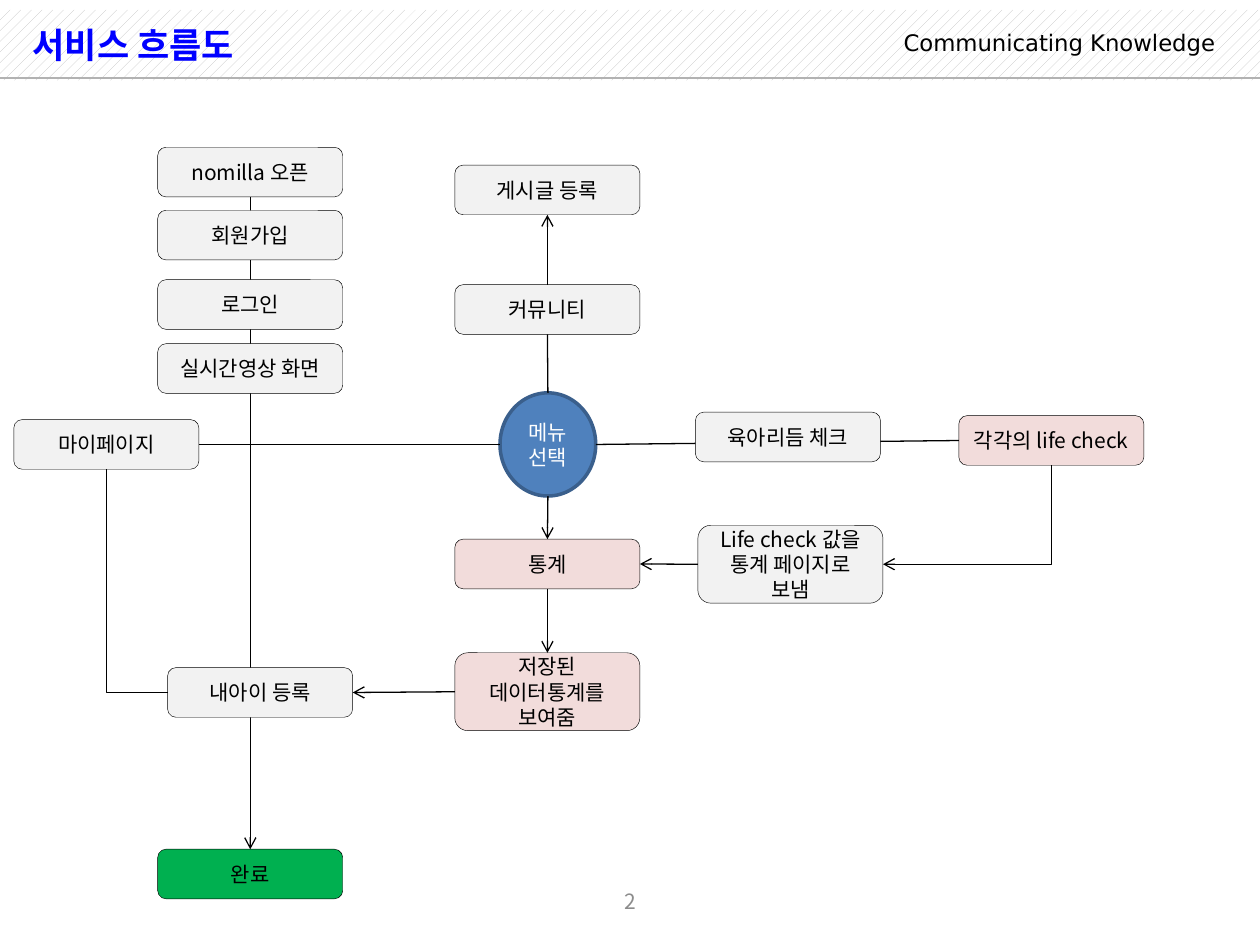
"""Build the service flow chart slide."""
from dataclasses import dataclass

from lxml.etree import SubElement
from pptx import Presentation
from pptx.dml.color import RGBColor
from pptx.enum.dml import MSO_PATTERN
from pptx.enum.shapes import MSO_CONNECTOR, MSO_SHAPE
from pptx.enum.text import MSO_ANCHOR, PP_ALIGN
from pptx.oxml.ns import qn
from pptx.util import Cm, Pt


@dataclass(frozen=True)
class Theme:
    font: str = "Noto Sans CJK KR"
    header_font: str = "DejaVu Sans"
    black: str = "000000"
    white: str = "FFFFFF"
    title: str = "0000FF"
    number: str = "8C8C8C"
    hatch: str = "C0C0C0"
    rule: str = "B2B2B2"
    step: str = "F2F2F2"
    data: str = "F2DCDB"
    done: str = "00B050"
    hub: str = "4F81BD"
    hub_line: str = "3A5F8C"
    title_size: float = 20
    header_size: float = 13
    body_size: float = 12
    line_width: float = 0.75
    box_line_width: float = 0.25
    hub_line_width: float = 2


THEME = Theme()
WIDTH, HEIGHT = 25.4, 19.05
BOX_WIDTH, BOX_HEIGHT, TALL_HEIGHT = 3.73, 1, 1.57
START_LEFT, MENU_LEFT = 3.18, 9.17
TOP, LEFT, BOTTOM, RIGHT = range(4)

OUTER_BOXES = {
    "open": ("nomilla 오픈", START_LEFT, 2.97, BOX_HEIGHT, THEME.step),
    "done": ("완료", START_LEFT, 17.12, BOX_HEIGHT, THEME.done),
    "life": ("각각의 life check", 19.33, 8.38, BOX_HEIGHT, THEME.data),
}
INNER_BOXES = {
    "join": ("회원가입", START_LEFT, 4.24, BOX_HEIGHT, THEME.step),
    "login": ("로그인", START_LEFT, 5.64, BOX_HEIGHT, THEME.step),
    "video": ("실시간영상 화면", START_LEFT, 6.93, BOX_HEIGHT, THEME.step),
    "child": ("내아이 등록", 3.38, 13.46, BOX_HEIGHT, THEME.step),
    "rhythm": ("육아리듬 체크", 14.02, 8.31, BOX_HEIGHT, THEME.step),
    "saved": ("저장된 데이터통계를 보여줌", MENU_LEFT, 13.16, TALL_HEIGHT, THEME.data),
    "my_page": ("마이페이지", 0.28, 8.46, BOX_HEIGHT, THEME.step),
    "statistics": ("통계", MENU_LEFT, 10.87, BOX_HEIGHT, THEME.data),
    "send": ("Life check 값을 통계 페이지로 보냄", 14.07, 10.59, TALL_HEIGHT, THEME.step),
    "community": ("커뮤니티", MENU_LEFT, 5.74, BOX_HEIGHT, THEME.step),
    "post": ("게시글 등록", MENU_LEFT, 3.33, BOX_HEIGHT, THEME.step),
}
OUTER_LINKS = [
    ("menu", RIGHT, "life", LEFT, None),
    ("open", BOTTOM, "done", TOP, "tailEnd"),
]
INNER_LINKS = [
    ("my_page", RIGHT, "menu", LEFT, None),
    ("menu", TOP, "community", BOTTOM, None),
    ("community", TOP, "post", BOTTOM, "tailEnd"),
    ("menu", BOTTOM, "statistics", TOP, "tailEnd"),
    ("statistics", BOTTOM, "saved", TOP, "tailEnd"),
    ("send", LEFT, "statistics", RIGHT, "tailEnd"),
    ("saved", LEFT, "child", RIGHT, "tailEnd"),
]
BENT_LINKS = [
    ("child", LEFT, "my_page", BOTTOM, None),
    ("send", RIGHT, "life", BOTTOM, "headEnd"),
]


def add_run(paragraph, text, size, color, font=THEME.font, bold=False):
    """Append one formatted run to a paragraph."""
    run = paragraph.add_run()
    run.text = text
    run.font.size = Pt(size)
    run.font.bold = bold
    run.font.name = font
    run.font.color.rgb = RGBColor.from_string(color)
    SubElement(run.font._element, qn("a:ea"), typeface=font)


def add_label(slide, bounds, alignment, anchor, wrap=True):
    """Add an empty text box and return its first paragraph."""
    frame = slide.shapes.add_textbox(*map(Cm, bounds)).text_frame
    frame.word_wrap = wrap
    frame.vertical_anchor = anchor
    paragraph = frame.paragraphs[0]
    paragraph.alignment = alignment
    return paragraph


def add_node(slide, kind, text, bounds, fill, color, line_color, line_width):
    """Add a filled shape with centred text."""
    shape = slide.shapes.add_shape(kind, *map(Cm, bounds))
    shape.shadow.inherit = False
    shape.fill.solid()
    shape.fill.fore_color.rgb = RGBColor.from_string(fill)
    shape.line.color.rgb = RGBColor.from_string(line_color)
    shape.line.width = Pt(line_width)
    shape.text_frame.vertical_anchor = MSO_ANCHOR.MIDDLE
    paragraph = shape.text_frame.paragraphs[0]
    paragraph.alignment = PP_ALIGN.CENTER
    add_run(paragraph, text, THEME.body_size, color)
    return shape


def add_boxes(slide, boxes):
    """Add rounded boxes and return them by name."""
    return {
        name: add_node(slide, MSO_SHAPE.ROUNDED_RECTANGLE, text,
                       (left, top, BOX_WIDTH, height), fill,
                       THEME.black, THEME.black, THEME.box_line_width)
        for name, (text, left, top, height, fill) in boxes.items()
    }


def add_line(slide, start, end, color, kind=MSO_CONNECTOR.STRAIGHT):
    """Add a plain connector without a shadow."""
    connector = slide.shapes.add_connector(kind, *start, *end)
    connector.line.color.rgb = RGBColor.from_string(color)
    connector.line.width = Pt(THEME.line_width)
    SubElement(connector._element.spPr, qn("a:effectLst"))
    return connector


def side_point(shape, side):
    """Return the middle of one side of a shape."""
    across = {LEFT: 0, RIGHT: shape.width}.get(side, shape.width // 2)
    down = {TOP: 0, BOTTOM: shape.height}.get(side, shape.height // 2)
    return shape.left + across, shape.top + down


def add_links(slide, nodes, links, bent=False):
    """Connect nodes, with an arrowhead at the end that is named."""
    kind = MSO_CONNECTOR.ELBOW if bent else MSO_CONNECTOR.STRAIGHT
    for first, first_side, second, second_side, arrow in links:
        start, end = nodes[first], nodes[second]
        connector = add_line(slide, side_point(start, first_side),
                             side_point(end, second_side), THEME.black, kind)
        if start.auto_shape_type == MSO_SHAPE.ROUNDED_RECTANGLE:
            connector.begin_connect(start, first_side)
        if end.auto_shape_type == MSO_SHAPE.ROUNDED_RECTANGLE:
            connector.end_connect(end, second_side)
        if bent:
            geometry = connector._element.spPr.find(qn("a:prstGeom"))
            geometry.set("prst", "bentConnector2")
        if arrow:
            SubElement(connector.line._get_or_add_ln(), qn(f"a:{arrow}"), type="arrow")


def add_header(slide):
    """Add the hatched band, the header text, the rule and the title."""
    band = slide.shapes.add_shape(MSO_SHAPE.RECTANGLE, 0, Cm(0.2), Cm(WIDTH), Cm(1.42))
    band.shadow.inherit = False
    band.fill.patterned()
    band.fill.pattern = MSO_PATTERN.PERCENT_20
    band.fill.fore_color.rgb = RGBColor.from_string(THEME.hatch)
    band.fill.back_color.rgb = RGBColor.from_string(THEME.white)
    band.line.fill.background()
    header = add_label(slide, (17.86, 0.56, 6.88, 0.71), PP_ALIGN.RIGHT, MSO_ANCHOR.TOP, wrap=False)
    header.line_spacing = 0.8
    add_run(header, "Communicating Knowledge", THEME.header_size, THEME.black, THEME.header_font)
    add_line(slide, (0, Cm(1.57)), (Cm(WIDTH), Cm(1.57)), THEME.rule)
    title = add_label(slide, (0.41, 0.2, 17.65, 1.4), PP_ALIGN.LEFT, MSO_ANCHOR.MIDDLE)
    add_run(title, "서비스 흐름도", THEME.title_size, THEME.title, bold=True)


def main():
    """Assemble and save the slide."""
    presentation = Presentation()
    presentation.slide_width, presentation.slide_height = Cm(WIDTH), Cm(HEIGHT)
    slide = presentation.slides.add_slide(presentation.slide_layouts[6])
    add_header(slide)
    number = add_label(slide, (0.41, 17.65, 24.6, 1.02), PP_ALIGN.CENTER, MSO_ANCHOR.MIDDLE)
    add_run(number, "2", THEME.body_size, THEME.number)
    nodes = add_boxes(slide, OUTER_BOXES)
    nodes["menu"] = add_node(slide, MSO_SHAPE.OVAL, "메뉴선택", (10.08, 7.92, 1.93, 2.08),
                             THEME.hub, THEME.white, THEME.hub_line, THEME.hub_line_width)
    add_links(slide, nodes, OUTER_LINKS)
    nodes.update(add_boxes(slide, INNER_BOXES))
    add_links(slide, nodes, INNER_LINKS)
    add_links(slide, nodes, BENT_LINKS, bent=True)
    presentation.save("out.pptx")


if __name__ == "__main__":
    main()
